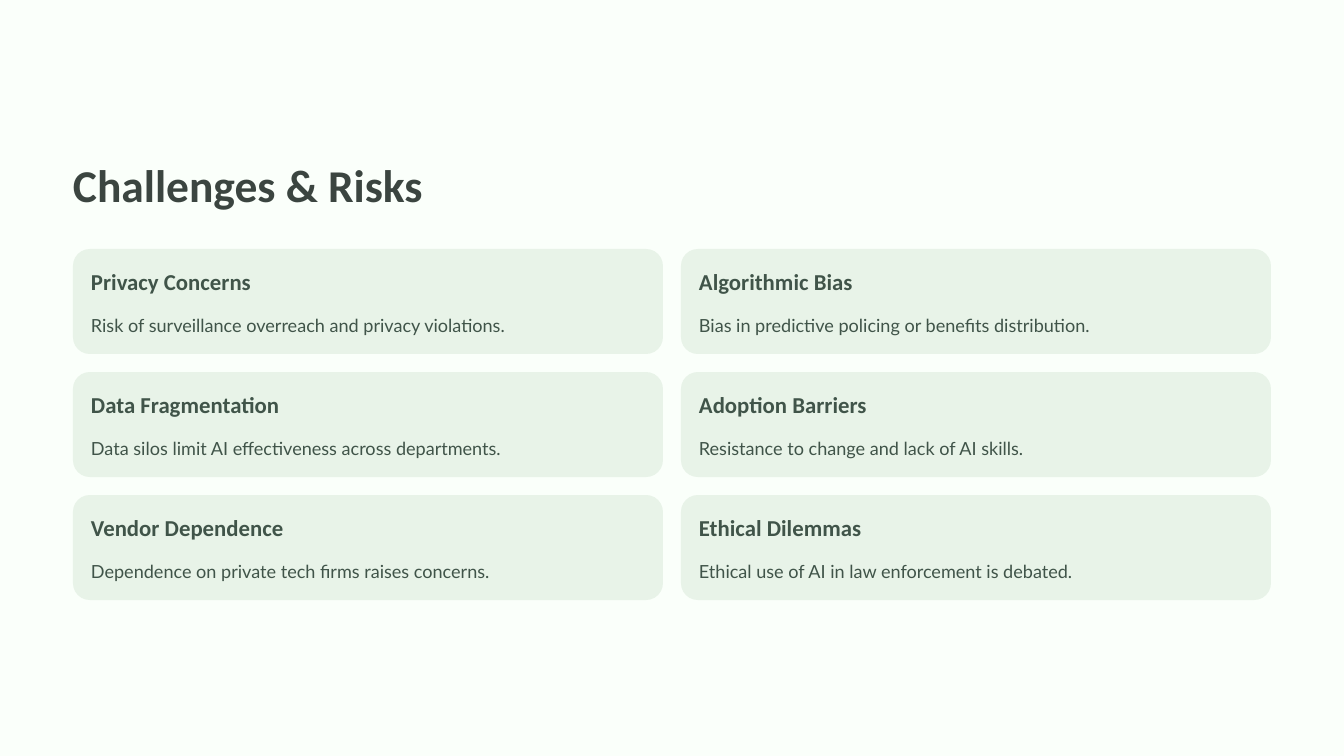
"""Build the "Challenges & Risks" slide: a title above a grid of six cards."""
from dataclasses import dataclass

from pptx import Presentation
from pptx import util as u
from pptx.dml.color import RGBColor
from pptx.enum import shapes, text
from pptx.shapes.autoshape import Shape
from pptx.slide import Slide

PX = u.Inches(1) / 84
COLORS = {"page": "FAFFFA", "card": "E8F3E8", "title": "3B4540", "text": "405449"}
COLUMNS = 2
LEFT, TOP = 73, 249
CARD_WIDTH, CARD_HEIGHT = 590, 105
GAP = 18
PADDING = 18


@dataclass(frozen=True)
class Card:
    heading: str
    detail: str


CARDS = [
    Card("Privacy Concerns", "Risk of surveillance overreach and privacy violations."),
    Card("Algorithmic Bias", "Bias in predictive policing or benefits distribution."),
    Card("Data Fragmentation", "Data silos limit AI effectiveness across departments."),
    Card("Adoption Barriers", "Resistance to change and lack of AI skills."),
    Card("Vendor Dependence", "Dependence on private tech firms raises concerns."),
    Card("Ethical Dilemmas", "Ethical use of AI in law enforcement is debated."),
]


def px(length: int) -> u.Emu:
    return u.Emu(round(length * PX))


def color(name: str) -> RGBColor:
    return RGBColor.from_string(COLORS[name])


def write(shape: Shape, content: str, *, size: float, line: float,
          font: str = "Calibri", tint: str = "text", bold: bool = False) -> None:
    frame = shape.text_frame
    frame.margin_left = frame.margin_right = frame.margin_top = frame.margin_bottom = 0
    frame.word_wrap = True
    frame.auto_size = text.MSO_AUTO_SIZE.NONE
    frame.vertical_anchor = text.MSO_ANCHOR.TOP
    paragraph = frame.paragraphs[0]
    paragraph.alignment = text.PP_ALIGN.LEFT
    paragraph.line_spacing = u.Pt(line)
    run = paragraph.add_run()
    run.text = content
    run.font.name = font
    run.font.size = u.Pt(size)
    run.font.bold = bold
    run.font.color.rgb = color(tint)


def add_title(slide: Slide, content: str) -> None:
    title = slide.shapes.title
    title.left, title.top, title.width, title.height = px(LEFT), px(155), px(456), px(57)
    write(title, content, size=39, line=48.5, tint="title", bold=True)


def add_card(slide: Slide, card: Card, left: int, top: int) -> None:
    panel = slide.shapes.add_shape(shapes.MSO_SHAPE.ROUNDED_RECTANGLE,
                                   px(left), px(top), px(CARD_WIDTH), px(CARD_HEIGHT))
    panel.adjustments[0] = 0.16
    panel.fill.solid()
    panel.fill.fore_color.rgb = color("card")
    panel.line.fill.background()
    panel.shadow.inherit = False

    inner_left, inner_width = px(left + PADDING), px(CARD_WIDTH - 2 * PADDING)
    heading = slide.shapes.add_textbox(inner_left, px(top + PADDING), inner_width, px(29))
    write(heading, card.heading, size=19.5, line=24, bold=True)
    detail = slide.shapes.add_textbox(inner_left, px(top + 58), inner_width, px(29))
    write(detail, card.detail, size=15.5, line=25, font="Lato")


def main() -> None:
    presentation = Presentation()
    presentation.slide_width, presentation.slide_height = px(1344), px(756)
    slide = presentation.slides.add_slide(presentation.slide_layouts.get_by_name("Title Only"))
    slide.background.fill.solid()
    slide.background.fill.fore_color.rgb = color("page")
    add_title(slide, "Challenges & Risks")
    for index, card in enumerate(CARDS):
        row, column = divmod(index, COLUMNS)
        add_card(slide, card, LEFT + column * (CARD_WIDTH + GAP),
                 TOP + row * (CARD_HEIGHT + GAP))
    presentation.save("out.pptx")


if __name__ == "__main__":
    main()
